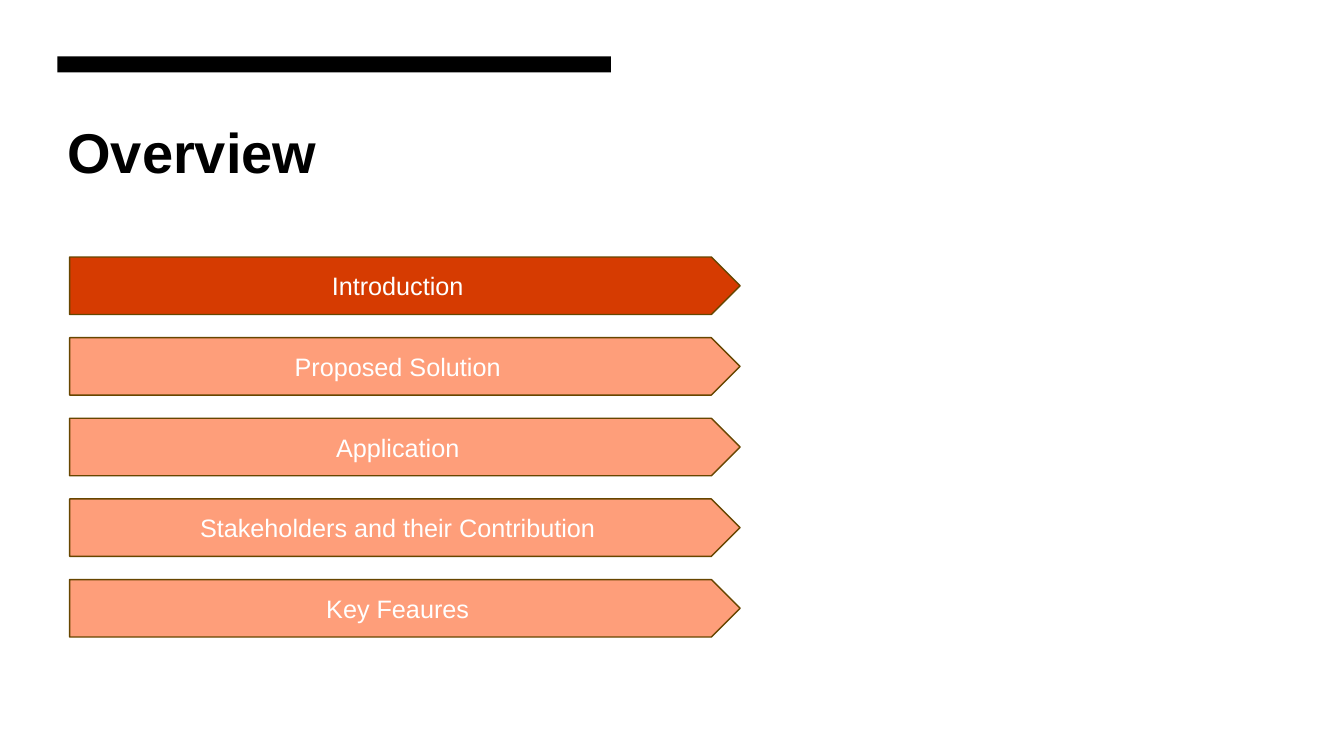
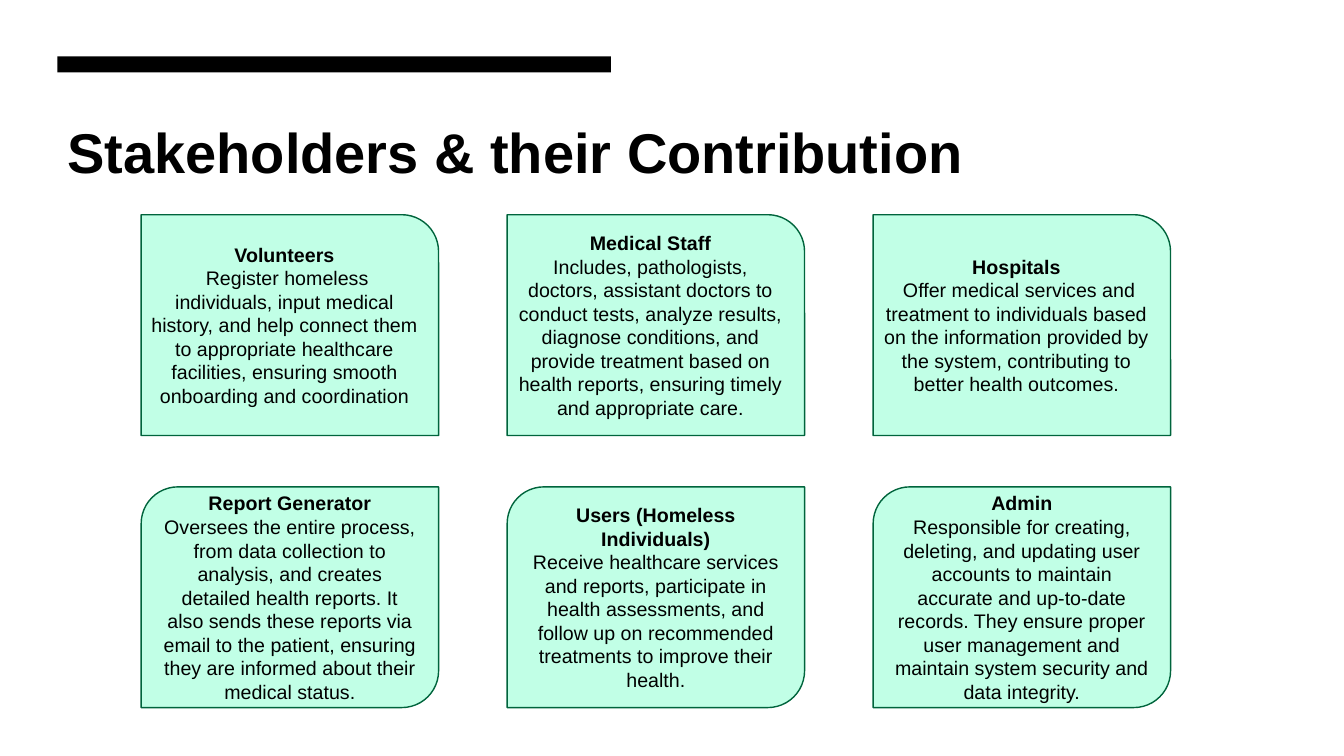
from pptx import Presentation
from pptx.dml.color import RGBColor
from pptx.enum.shapes import MSO_SHAPE
from pptx.enum.text import MSO_ANCHOR, PP_ALIGN
from pptx.util import Inches, Pt

RECTANGLE = MSO_SHAPE.RECTANGLE
ARROW = MSO_SHAPE.PENTAGON
ONE_ROUND = MSO_SHAPE.ROUND_1_RECTANGLE
DIAGONAL_ROUND = MSO_SHAPE.ROUND_2_DIAG_RECTANGLE
MIDDLE = MSO_ANCHOR.MIDDLE
CENTER = PP_ALIGN.CENTER

FONT = "Arial"
BLACK, WHITE = "000000", "FFFFFF"
ACTIVE, INACTIVE, ARROW_EDGE = "D63B01", "FE9E7A", "674600"
MINT, MINT_EDGE = "C1FFE6", "00643C"

TOPICS = [
    "Introduction",
    "Proposed Solution",
    "Application",
    "Stakeholders and their Contribution",
    "Key Feaures",
]

STAKEHOLDER_ROWS = [
    (ONE_ROUND, [
        ("Volunteers",
         " Register homeless individuals, input medical history, and help connect "
         "them to appropriate healthcare facilities, ensuring smooth onboarding "
         "and coordination"),
        ("Medical Staff",
         "Includes, pathologists, doctors, assistant doctors to conduct tests, "
         "analyze results, diagnose conditions, and provide treatment based on "
         "health reports, ensuring timely and appropriate care."),
        ("Hospitals",
         " Offer medical services and treatment to individuals based on the "
         "information provided by the system, contributing to better health "
         "outcomes."),
    ]),
    (DIAGONAL_ROUND, [
        ("Report Generator",
         "Oversees the entire process, from data collection to analysis, and "
         "creates detailed health reports. It also sends these reports via email "
         "to the patient, ensuring they are informed about their medical status."),
        ("Users (Homeless Individuals)",
         "Receive healthcare services and reports, participate in health "
         "assessments, and follow up on recommended treatments to improve their "
         "health."),
        ("Admin",
         "Responsible for creating, deleting, and updating user accounts to "
         "maintain accurate and up-to-date records. They ensure proper user "
         "management and maintain system security and data integrity."),
    ]),
]


def rgb(value):
    return RGBColor.from_string(value)


class Deck:
    """Holds the shared style and the slide being built."""

    def __init__(self):
        self.presentation = Presentation()
        self.presentation.slide_width = Inches(13.33)
        self.presentation.slide_height = Inches(7.5)
        self.slide = None

    def start_slide(self, title):
        layout = self.presentation.slide_layouts[6]
        self.slide = self.presentation.slides.add_slide(layout)
        self.panel(RECTANGLE, (0.57, 0.56, 5.49, 0.16), BLACK)
        heading = self.slide.shapes.add_textbox(
            Inches(0.57), Inches(1.12), Inches(12.24), Inches(0.74))
        heading.text_frame.word_wrap = True
        self.set_text(heading.text_frame.paragraphs[0], title, 40, BLACK, bold=True)

    def panel(self, outline, box, fill, edge=None):
        panel = self.slide.shapes.add_shape(outline, *map(Inches, box))
        panel.shadow.inherit = False
        panel.fill.solid()
        panel.fill.fore_color.rgb = rgb(fill)
        if edge:
            panel.line.color.rgb = rgb(edge)
            panel.line.width = Pt(1)
        else:
            panel.line.fill.background()
        panel.text_frame.word_wrap = True
        panel.text_frame.vertical_anchor = MIDDLE
        return panel.text_frame

    def set_text(self, paragraph, text, size, color, bold=False, align=None):
        paragraph.text = text
        paragraph.alignment = align
        paragraph.font.name = FONT
        paragraph.font.size = Pt(size)
        paragraph.font.bold = bold
        paragraph.font.color.rgb = rgb(color)

    def topic(self, text, top, fill):
        frame = self.panel(ARROW, (0.69, top, 6.65, 0.57), fill, ARROW_EDGE)
        self.set_text(frame.paragraphs[0], text, 18, WHITE, align=CENTER)

    def stakeholder(self, outline, left, top, role, duty):
        frame = self.panel(outline, (left, top, 2.95, 2.19), MINT, MINT_EDGE)
        self.set_text(frame.paragraphs[0], role, 14, BLACK, bold=True, align=CENTER)
        self.set_text(frame.add_paragraph(), duty, 14, BLACK, align=CENTER)


def main():
    deck = Deck()

    deck.start_slide("Overview")
    for index, topic in enumerate(TOPICS):
        deck.topic(topic, 2.55 + 0.8 * index, INACTIVE if index else ACTIVE)

    deck.start_slide("Stakeholders & their Contribution")
    for row, (outline, stakeholders) in enumerate(STAKEHOLDER_ROWS):
        for column, (role, duty) in enumerate(stakeholders):
            deck.stakeholder(
                outline, 1.4 + 3.63 * column, 2.13 + 2.7 * row, role, duty)

    deck.presentation.save("out.pptx")


if __name__ == "__main__":
    main()
